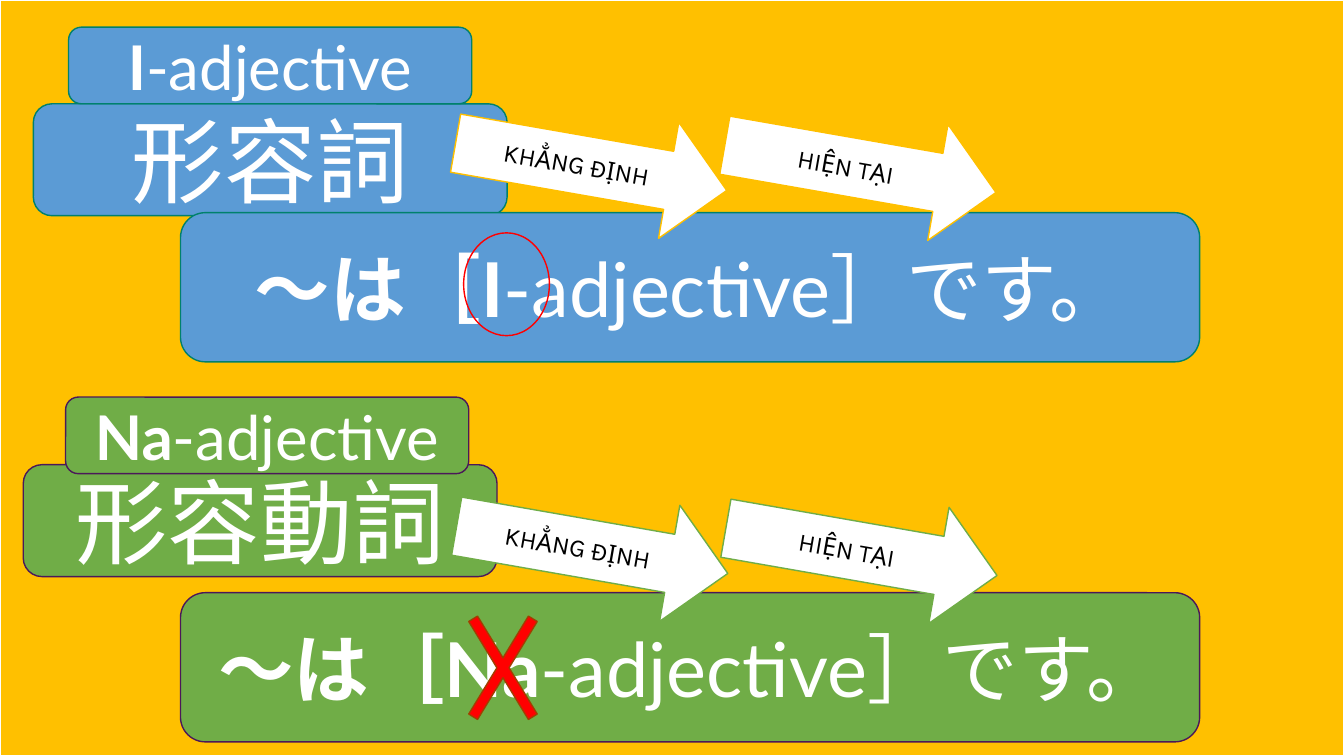
import pptx
import pptx.util
import pptx.dml.color
import pptx.enum.shapes
import pptx.enum.text

Kind = pptx.enum.shapes.MSO_SHAPE

# Content: one group per adjective type; runs are (words, bold)
GROUPS = [
    {
        "tone": "blue",
        "tag": [("I", True), ("-adjective", False)],
        "kanji": [("形容詞", False)],
        "rule": [("～は［I", True), ("-adjective］です。", False)],
        "spots": {"tag": (5.1, 3.6), "kanji": (2.48, 13.73),
                  "rule": (13.43, 28.13), "arrow": (33.75, 14.27)},
        "mark": (Kind.OVAL, (34.5, 30.8), (6.38, 13.6), None, "red", None),
    },
    {
        "tone": "green",
        "tag": [("Na", True), ("-adjective", False)],
        "kanji": [("形容動詞", False)],
        "rule": [("～は［Na", True), ("-adjective］です。", False)],
        "spots": {"tag": (4.88, 52.53), "kanji": (1.73, 61.47),
                  "rule": (13.43, 78.4), "arrow": (33.83, 64.93)},
        "mark": (Kind.MATH_MULTIPLY, (33.15, 75.87), (8.55, 24.93),
                 "red", "rust", 0.09),
    },
]
ARROWS = ["KHẲNG ĐỊNH", "HIỆN TẠI"]

# Sizes and steps, in percent of the slide's width and height
SIZES = {"tag": (30, 10.13), "kanji": (35.25, 14.8),
         "rule": (75.83, 19.73), "arrow": (20.48, 15.6)}
STEP = (20.03, 0.27)
TILT = 9.9

THEME = {
    "color": {"gold": "FFC000", "white": "FFFFFF", "black": "000000",
              "red": "FF0000", "rust": "A14000", "blue": "5B9BD5",
              "green": "70AD47", "teal": "00816C", "plum": "4B1859"},
    "edge": {"blue": "teal", "green": "plum"},
    "tip": {"blue": "gold", "green": "green"},
    "text": {"tag": ("Lato", 44), "kanji": ("Arial", 66),
             "rule": ("Lato", 54), "arrow": ("Karla", 18)},
}

deck = pptx.Presentation()
deck.slide_width = pptx.util.Inches(13.33)
deck.slide_height = pptx.util.Inches(7.5)
slide = deck.slides.add_slide(deck.slide_layouts[6])


def tint(name):
    return pptx.dml.color.RGBColor.from_string(THEME["color"][name])


def draw(kind, spot, size, fill, line, width=1):
    left, wide = (int(deck.slide_width * n / 100) for n in (spot[0], size[0]))
    top, high = (int(deck.slide_height * n / 100) for n in (spot[1], size[1]))
    shape = slide.shapes.add_shape(kind, left, top, wide, high)
    shape.shadow.inherit = False
    if fill:
        shape.fill.solid()
        shape.fill.fore_color.rgb = tint(fill)
    else:
        shape.fill.background()
    shape.line.color.rgb = tint(line)
    shape.line.width = pptx.util.Pt(width)
    return shape


def write(shape, runs, role, color):
    frame = shape.text_frame
    frame.word_wrap = True
    frame.vertical_anchor = pptx.enum.text.MSO_ANCHOR.MIDDLE
    line = frame.paragraphs[0]
    line.alignment = pptx.enum.text.PP_ALIGN.CENTER
    face, size = THEME["text"][role]
    for words, bold in runs:
        run = line.add_run()
        run.text = words
        run.font.name = face
        run.font.size = pptx.util.Pt(size)
        run.font.bold = bold
        run.font.color.rgb = tint(color)


def panel(group, role):
    tone = group["tone"]
    shape = draw(Kind.ROUNDED_RECTANGLE, group["spots"][role], SIZES[role],
                 tone, THEME["edge"][tone])
    write(shape, group[role], role, "white")


# Backdrop
draw(Kind.RECTANGLE, (0, 0), (100, 100), "gold", "white", 1.5)

for group in GROUPS:
    # Name and sentence pattern
    panel(group, "kanji")
    panel(group, "rule")

    # Mark on the ending
    kind, spot, size, fill, line, thick = group["mark"]
    mark = draw(kind, spot, size, fill, line)
    if thick:
        mark.adjustments[0] = thick

    # Tilted arrows
    left, top = group["spots"]["arrow"]
    for i, words in enumerate(ARROWS):
        spot = (left + i * STEP[0], top + i * STEP[1])
        arrow = draw(Kind.RIGHT_ARROW, spot, SIZES["arrow"], "white",
                     THEME["tip"][group["tone"]])
        arrow.rotation = TILT
        write(arrow, [(words, False)], "arrow", "black")

    # Tag on top
    panel(group, "tag")

deck.save("out.pptx")
